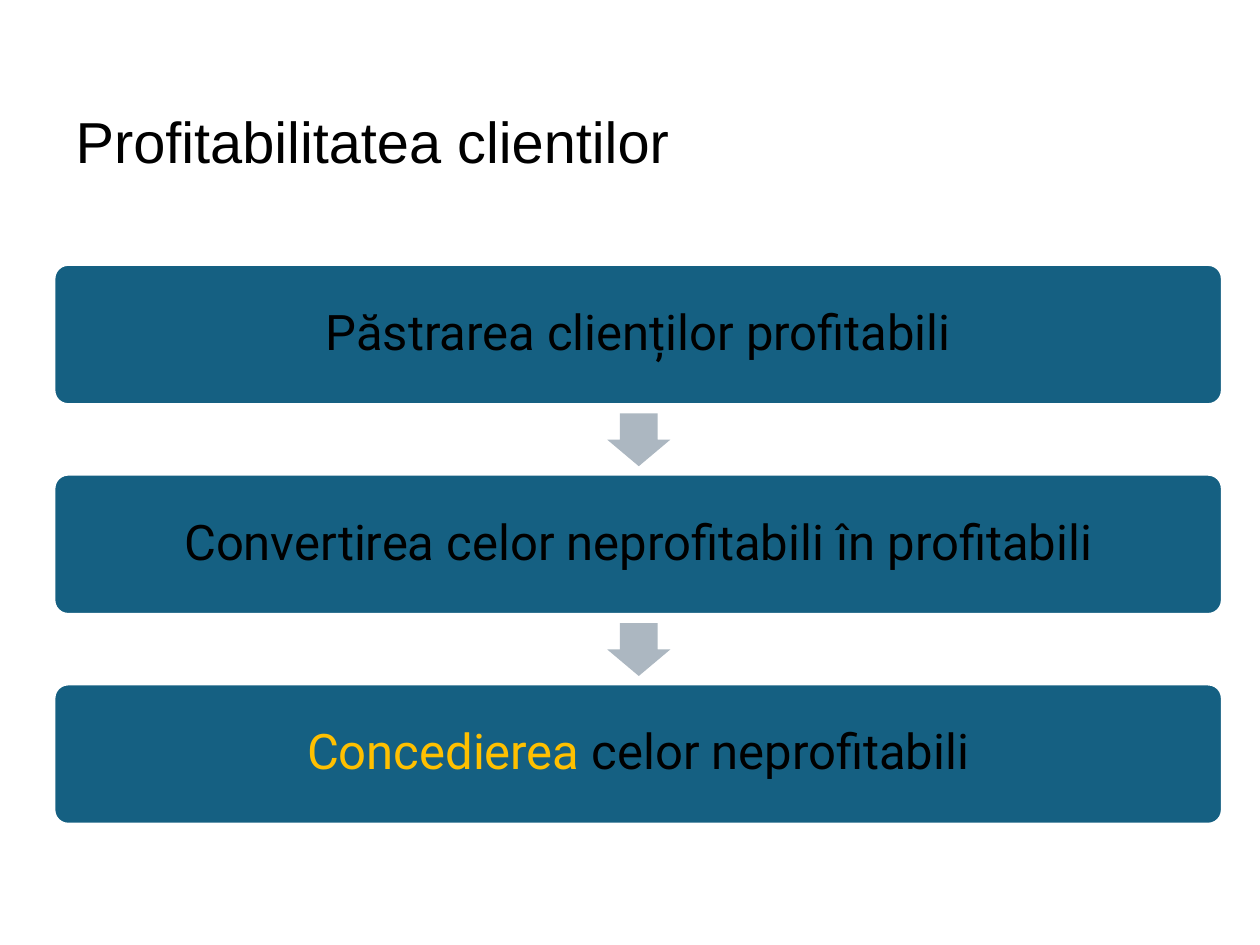
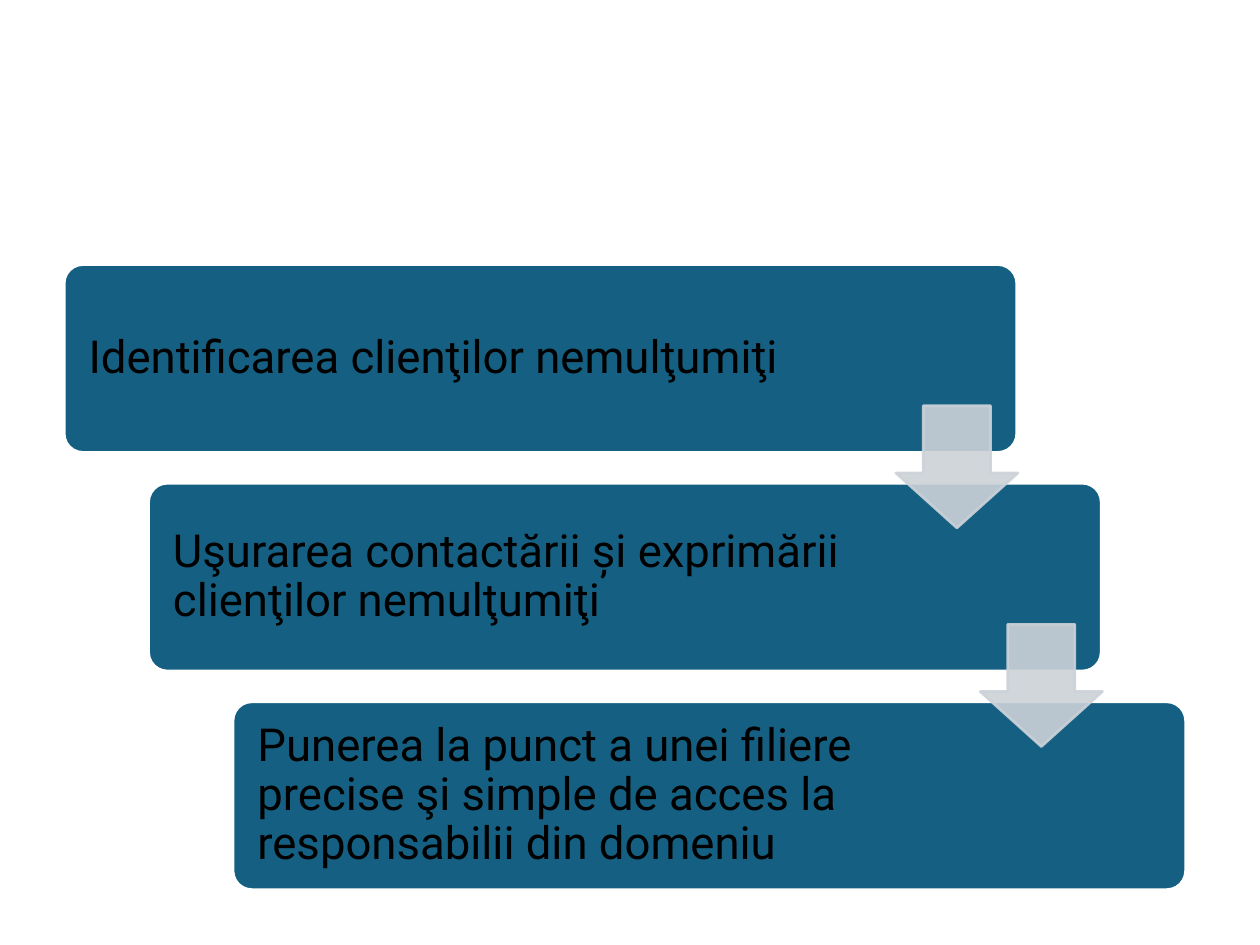
"""Builds two slides on client profitability and handling unhappy clients."""
from lxml import etree
from pptx import Presentation
from pptx.dml.color import RGBColor
from pptx.enum.shapes import MSO_SHAPE
from pptx.enum.text import MSO_ANCHOR, PP_ALIGN
from pptx.oxml.ns import qn
from pptx.util import Inches, Pt

ROUND = MSO_SHAPE.ROUNDED_RECTANGLE
DOWN = MSO_SHAPE.DOWN_ARROW
MIDDLE = MSO_ANCHOR.MIDDLE
LEFT, CENTER = PP_ALIGN.LEFT, PP_ALIGN.CENTER
BLACK = RGBColor(0x00, 0x00, 0x00)
WHITE = RGBColor(0xFF, 0xFF, 0xFF)
TEAL = RGBColor(0x15, 0x60, 0x82)
GOLD = RGBColor(0xFF, 0xC0, 0x00)
GREY = RGBColor(0xAC, 0xB7, 0xC1)
PALE = RGBColor(0xCC, 0xD2, 0xD8)


def add_form(slide, kind, place, fill, line, adjust):
    """Add a flat preset shape, with an outline if a line colour is given."""
    form = slide.shapes.add_shape(kind, *[Inches(n) for n in place])
    form.shadow.inherit = False
    for i, value in enumerate(adjust):
        form.adjustments[i] = value
    form.fill.solid()
    form.fill.fore_color.rgb = fill
    if line is None:
        form.line.fill.background()
    else:
        form.line.color.rgb = line
        form.line.width = Pt(1.5)
    return form


def add_text(form, runs, font, size, align):
    """Write coloured runs into one vertically centred paragraph."""
    frame = form.text_frame
    frame.word_wrap = True
    frame.vertical_anchor = MIDDLE
    para = frame.paragraphs[0]
    para.alignment = align
    para.line_spacing = 0.9
    for words, color in runs:
        run = para.add_run()
        run.text = words
        run.font.name = font
        run.font.size = Pt(size)
        run.font.color.rgb = color


prs = Presentation()
prs.slide_width, prs.slide_height = Inches(10), Inches(7.5)

slide = prs.slides.add_slide(prs.slide_layouts[5])
title = slide.shapes.title
title.left, title.top = Inches(0.5), Inches(0.52)
title.width, title.height = Inches(9.3), Inches(1.25)
add_text(title, [("Profitabilitatea clientilor", BLACK)], "Arial", 33, LEFT)

goals = [
    [("Păstrarea clienților profitabili", BLACK)],
    [("Convertirea celor neprofitabili în profitabili", BLACK)],
    [("Concedierea ", GOLD), ("celor neprofitabili", BLACK)],
]
for i, runs in enumerate(goals):
    top = 2.1 + i * 1.665
    bar = add_form(slide, ROUND, (0.43, top, 9.27, 1.11), TEAL, WHITE, [0.1])
    add_text(bar, runs, "Roboto", 28, CENTER)
    if i < len(goals) - 1:
        add_form(slide, DOWN, (4.82, top + 1.18, 0.5, 0.42), GREY, None, [0.6, 0.5])

slide = prs.slides.add_slide(prs.slide_layouts[6])
steps = [
    "Identificarea clienţilor nemulţumiţi",
    "Uşurarea contactării și exprimării clienţilor nemulţumiţi",
    "Punerea la punct a unei filiere precise şi simple de acces la "
    "responsabilii din domeniu",
]
spots = [(0.51 + i * 0.67, 2.1 + i * 1.735) for i in range(len(steps))]
for (left, top), words in zip(spots, steps):
    box = add_form(slide, ROUND, (left, top, 7.56, 1.49), TEAL, WHITE, [0.1])
    box.text_frame.margin_left = Inches(0.15)
    box.text_frame.margin_right = Inches(1.79)
    add_text(box, [(words, BLACK)], "Roboto", 26, LEFT)

for left, top in spots[:-1]:
    place = (left + 6.6, top + 1.12, 0.97, 0.97)
    arrow = add_form(slide, DOWN, place, PALE, PALE, [0.55, 0.45])
    for color in arrow.element.spPr.iter(qn("a:srgbClr")):
        etree.SubElement(color, qn("a:alpha")).set("val", "90000")

prs.save("out.pptx")
